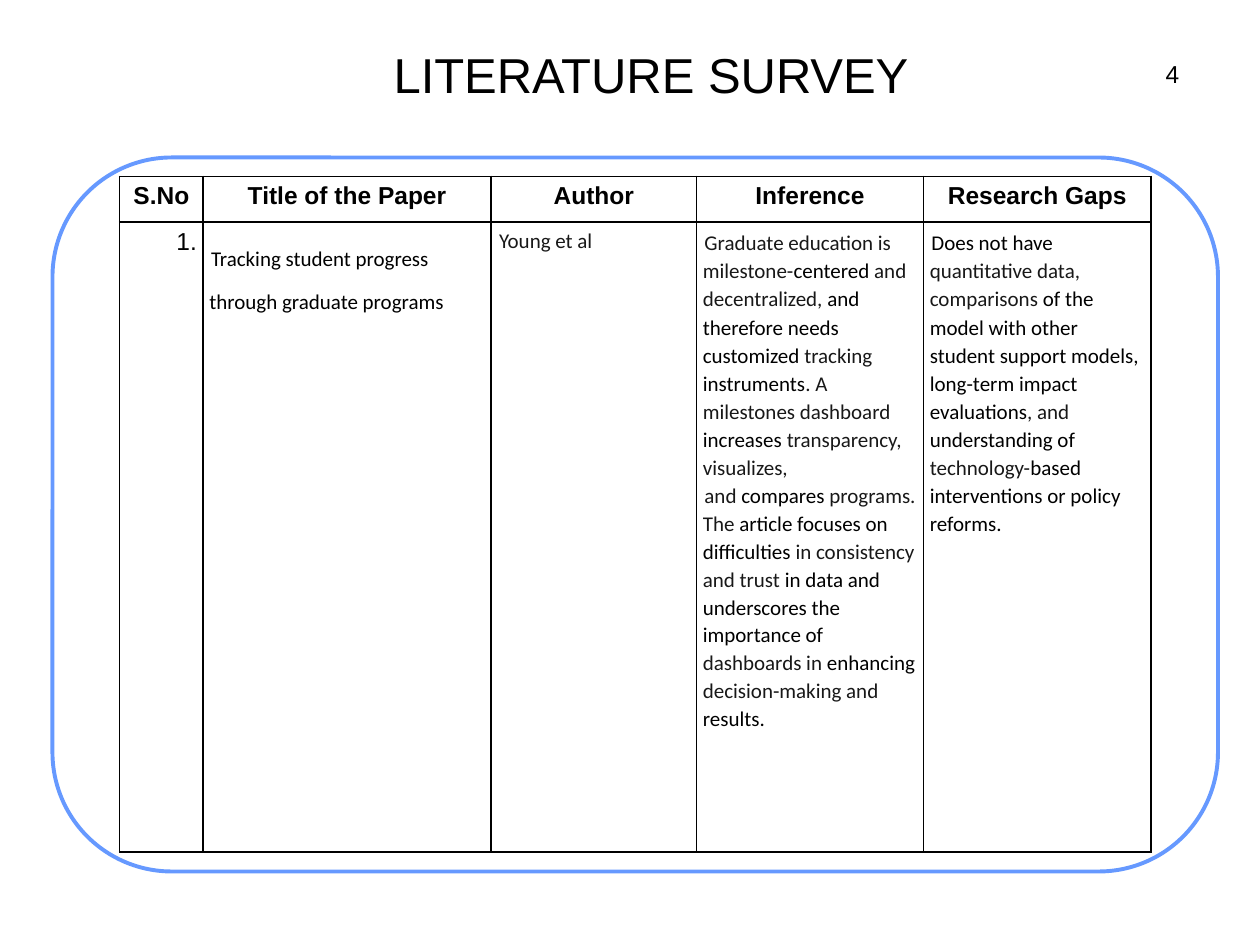
from lxml import etree
from pptx import Presentation
from pptx.dml.color import RGBColor
from pptx.enum.shapes import MSO_SHAPE as Shape
from pptx.enum.text import MSO_ANCHOR as Anchor, PP_ALIGN as Align
from pptx.oxml import parse_xml
from pptx.oxml.ns import nsdecls
from pptx.util import Pt

HEX = {"black": "000000", "ink": "181818", "white": "FFFFFF", "blue": "6699FF"}
RGB = {name: RGBColor.from_string(code) for name, code in HEX.items()}
PAD = {f"margin_{side}": Pt(3.6) for side in ("left", "right", "top", "bottom")}


def style(item, **form):
    for name, value in form.items():
        setattr(item, name, value)


def write(para, text, tones=("black",), align=Align.LEFT, space=None, **form):
    """Fill a paragraph; the tones take turns over the parts split by |."""
    style(para, alignment=align, line_spacing=space)
    for i, part in enumerate(text.split("|")):
        run = para.add_run()
        run.text = part
        style(run.font, **form)
        run.font.color.rgb = RGB[tones[i % len(tones)]]


deck = Presentation()
style(deck, slide_width=Pt(720), slide_height=Pt(540))
slide = deck.slides.add_slide(deck.slide_layouts[5])
shapes = slide.shapes

# Title
title = shapes.title
style(title, left=Pt(102), top=Pt(23), width=Pt(540), height=Pt(38))
title.fill.solid()
title.fill.fore_color.rgb = RGB["white"]
title.line.color.rgb = RGB["white"]
title.line.width = Pt(0.75)
style(title.text_frame, vertical_anchor=Anchor.MIDDLE, word_wrap=True, **PAD)
write(title.text_frame.paragraphs[0], "LITERATURE SURVEY", align=Align.CENTER,
      name="Arial", size=Pt(28))

# Rounded frame
frame = shapes.add_shape(Shape.ROUNDED_RECTANGLE, Pt(30), Pt(90), Pt(666), Pt(408))
frame.shadow.inherit = False
frame.adjustments[0] = 0.167
frame.fill.solid()
frame.fill.fore_color.rgb = RGB["white"]
frame.line.color.rgb = RGB["blue"]
frame.line.width = Pt(2.25)

# Page number
page = shapes.add_textbox(Pt(661.7), Pt(30.2), Pt(15.8), Pt(23)).text_frame
style(page, word_wrap=False, **PAD)
write(page.paragraphs[0], "4", align=Align.RIGHT, name="Arial", size=Pt(14))

# Table content: heads, then paragraphs as (text, tones, line spacing)
heads = ["S.No", "Title of the Paper", "Author", "Inference", "Research Gaps"]
dark, soft = ("black", "ink"), ("ink", "black")
body = [
    [("1.", dark, None)],
    [("Tracking student progress through graduate programs", dark, 1.7)],
    [("Young et al", soft, None)],
    [("Graduate education is milestone-|centered |and decentralized, "
      "|and therefore needs customized |tracking |instruments"
      "|. A milestones dashboard |increases |transparency, visualizes,", soft, 1.1),
     ("and |compares |programs. The |article focuses on difficulties "
      "|in consistency and trust |in data and underscores the importance of "
      "|dashboards in |enhancing |decision-making and |results.", soft, 1.09)],
    [("Does not have |quantitative data, comparisons |of the model with other "
      "student support models, long-term impact evaluations|, and "
      "|understanding of |technology-|based interventions or policy reforms.",
      dark, 1.1)],
]
widths = [47.7, 164.6, 117.4, 129.7, 130]
heights = [26, 360]

# Table
grid = shapes.add_table(2, len(heads), Pt(68.4), Pt(100.8),
                        Pt(sum(widths)), Pt(sum(heights))).table
style(grid, first_row=False, horz_banding=False)
for row, height in zip(grid.rows, heights):
    row.height = Pt(height)
for col, width in zip(grid.columns, widths):
    col.width = Pt(width)

for cell in grid.iter_cells():
    style(cell, **PAD)
    props = cell._tc.get_or_add_tcPr()
    for side in "LRTB":
        props.append(parse_xml(
            f'<a:ln{side} {nsdecls("a")} w="12700"><a:solidFill>'
            f'<a:srgbClr val="{HEX["black"]}"/></a:solidFill></a:ln{side}>'))
    cell.fill.background()

for c, head in enumerate(heads):
    write(grid.cell(0, c).text_frame.paragraphs[0], head, align=Align.CENTER,
          name="Arial", size=Pt(14), bold=True)
    box = grid.cell(1, c).text_frame
    form = {"name": "Calibri", "size": Pt(12)}
    if c == 0:
        form = {"name": "Arial", "size": Pt(14), "align": Align.RIGHT}
    for i, (text, tones, space) in enumerate(body[c]):
        para = box.add_paragraph() if i else box.paragraphs[0]
        if c:
            para._p.get_or_add_pPr().set("indent", str(Pt(0.9)))
        write(para, text, tones, space=space, bold=False, **form)

deck.save("out.pptx")
